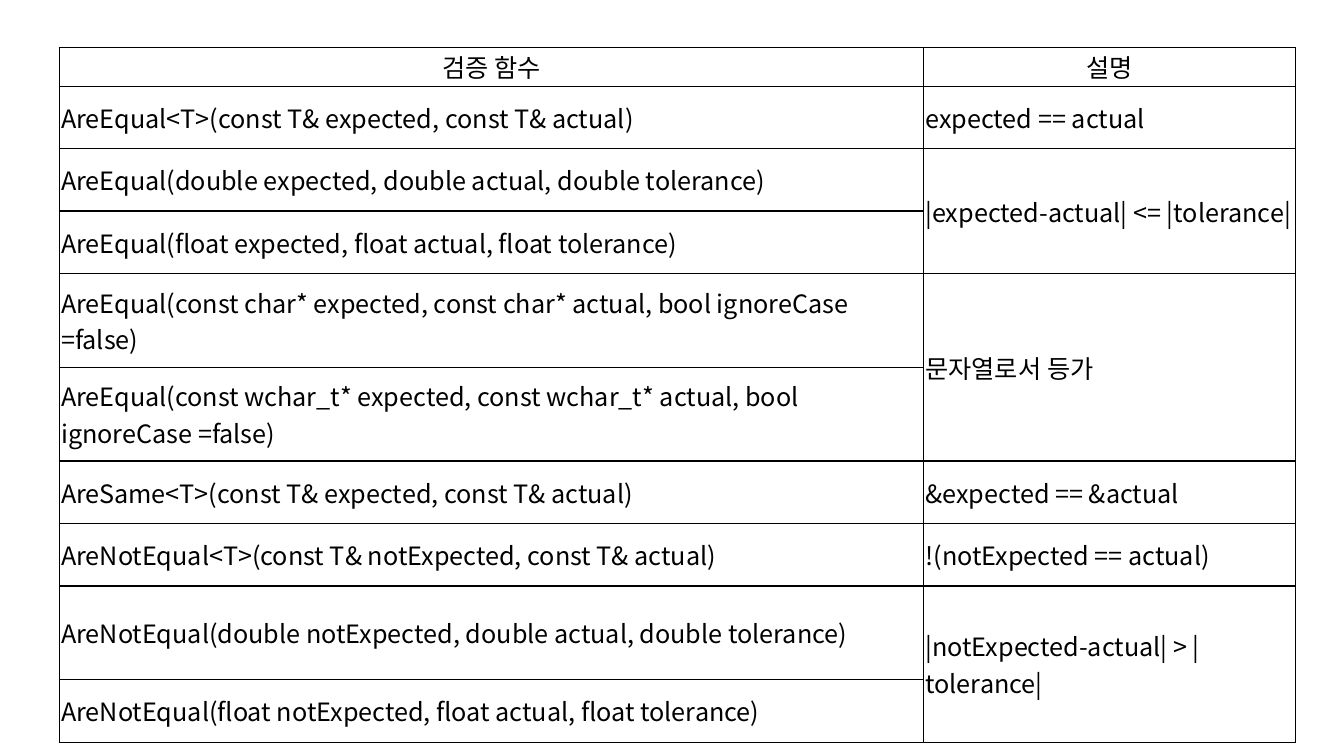
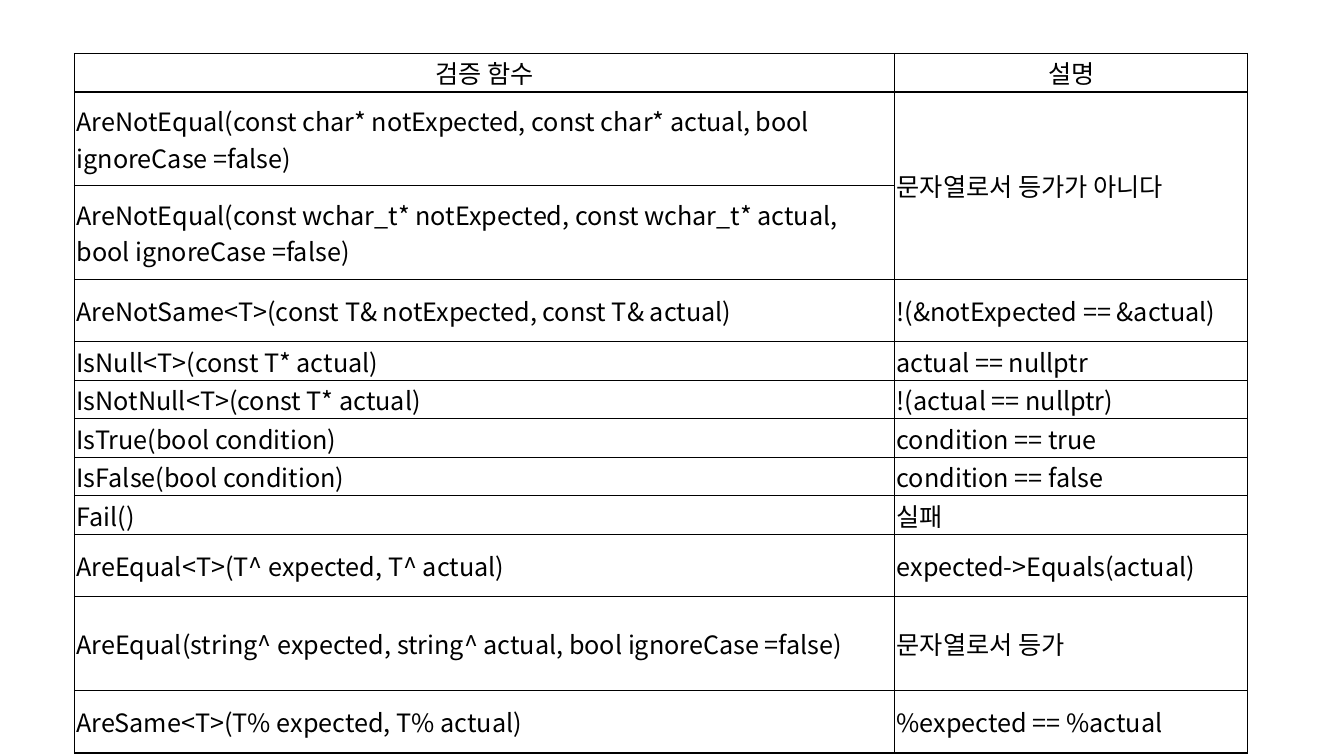
import pptx
import pptx.dml.color
import pptx.enum.text
import pptx.oxml.ns
import pptx.util
from lxml import etree


def color(hex_code):
    return pptx.dml.color.RGBColor.from_string(hex_code)


class Deck:
    """Reference tables in one shared style, placed by percentages of the slide."""

    FONT = "Noto Sans CJK KR"
    INK = "000000"
    TEXT_SIZE = pptx.util.Pt(18)
    RULE_WIDTH = pptx.util.Pt(1)
    LINE_HEIGHT = pptx.util.Inches(0.31)
    COLUMN_SHARES = (69.9, 30.1)
    HEADER = ("검증 함수", "설명", 1)

    def __init__(self):
        self.deck = pptx.Presentation()
        self.deck.slide_width = pptx.util.Inches(13.33)
        self.deck.slide_height = pptx.util.Inches(7.5)
        self.slide = None

    def add_slide(self):
        self.slide = self.deck.slides.add_slide(self.deck.slide_layouts[6])

    def borders(self, cell):
        properties = cell._tc.get_or_add_tcPr()
        for side in ("a:lnL", "a:lnR", "a:lnT", "a:lnB"):
            rule = etree.SubElement(
                properties, pptx.oxml.ns.qn(side), w=str(self.RULE_WIDTH))
            fill = etree.SubElement(rule, pptx.oxml.ns.qn("a:solidFill"))
            etree.SubElement(fill, pptx.oxml.ns.qn("a:srgbClr"), val=self.INK)

    def cell(self, cell, wording, align):
        self.borders(cell)
        cell.fill.background()
        cell.margin_left = cell.margin_right = pptx.util.Inches(0.02)
        cell.margin_top = cell.margin_bottom = pptx.util.Inches(0.01)
        cell.vertical_anchor = pptx.enum.text.MSO_ANCHOR.MIDDLE
        cell.text = wording or ""
        paragraph = cell.text_frame.paragraphs[0]
        paragraph.alignment = align
        paragraph.font.size = self.TEXT_SIZE
        paragraph.font.color.rgb = color(self.INK)
        paragraph.font.name = self.FONT
        defaults = paragraph._p.pPr.find(pptx.oxml.ns.qn("a:defRPr"))
        etree.SubElement(defaults, pptx.oxml.ns.qn("a:ea"), typeface=self.FONT)

    def table(self, left, top, width, assertions):
        """Draw (function, meaning, lines) rows; a meaning of None joins the row above."""
        entries = [self.HEADER, *assertions]
        full_width = self.deck.slide_width * width / 100
        table = self.slide.shapes.add_table(
            len(entries), len(self.COLUMN_SHARES),
            int(self.deck.slide_width * left / 100),
            int(self.deck.slide_height * top / 100),
            int(full_width),
            self.LINE_HEIGHT * sum(lines for _, _, lines in entries)).table
        table.first_row = table.horz_banding = False
        for column, share in zip(table.columns, self.COLUMN_SHARES):
            column.width = int(full_width * share / 100)
        for index, (function, meaning, lines) in enumerate(entries):
            table.rows[index].height = self.LINE_HEIGHT * lines
            align = (pptx.enum.text.PP_ALIGN.LEFT if index
                     else pptx.enum.text.PP_ALIGN.CENTER)
            for column, wording in enumerate((function, meaning)):
                self.cell(table.cell(index, column), wording, align)
            if meaning is None:
                table.cell(index - 1, 1).merge(table.cell(index, 1))

    def save(self):
        self.deck.save("out.pptx")


EQUALITY = [
    ("AreEqual<T>(const T& expected, const T& actual)", "expected == actual", 2),
    ("AreEqual(double expected, double actual, double tolerance)",
     "|expected-actual| <= |tolerance|", 2),
    ("AreEqual(float expected, float actual, float tolerance)", None, 2),
    ("AreEqual(const char* expected, const char* actual, bool ignoreCase =false)",
     "문자열로서 등가", 3),
    ("AreEqual(const wchar_t* expected, const wchar_t* actual, bool ignoreCase =false)",
     None, 3),
    ("AreSame<T>(const T& expected, const T& actual)", "&expected == &actual", 2),
    ("AreNotEqual<T>(const T& notExpected, const T& actual)",
     "!(notExpected == actual)", 2),
    ("AreNotEqual(double notExpected, double actual, double tolerance)",
     "|notExpected-actual| > |tolerance|", 3),
    ("AreNotEqual(float notExpected, float actual, float tolerance)", None, 2),
]

CONDITIONS = [
    ("AreNotEqual(const char* notExpected, const char* actual, bool ignoreCase =false)",
     "문자열로서 등가가 아니다", 3),
    ("AreNotEqual(const wchar_t* notExpected, const wchar_t* actual, bool ignoreCase =false)",
     None, 3),
    ("AreNotSame<T>(const T& notExpected, const T& actual)",
     "!(&notExpected == &actual)", 2),
    ("IsNull<T>(const T* actual)", "actual == nullptr", 1),
    ("IsNotNull<T>(const T* actual)", "!(actual == nullptr)", 1),
    ("IsTrue(bool condition)", "condition == true", 1),
    ("IsFalse(bool condition)", "condition == false", 1),
    ("Fail()", "실패", 1),
    ("AreEqual<T>(T^ expected, T^ actual)", "expected->Equals(actual)", 2),
    ("AreEqual(string^ expected, string^ actual, bool ignoreCase =false)",
     "문자열로서 등가", 3),
    ("AreSame<T>(T% expected, T% actual)", "%expected == %actual", 2),
]

deck = Deck()
deck.add_slide()
deck.table(4.4, 6.3, 92, EQUALITY)
deck.add_slide()
deck.table(5.55, 7.07, 87.3, CONDITIONS)
deck.save()
